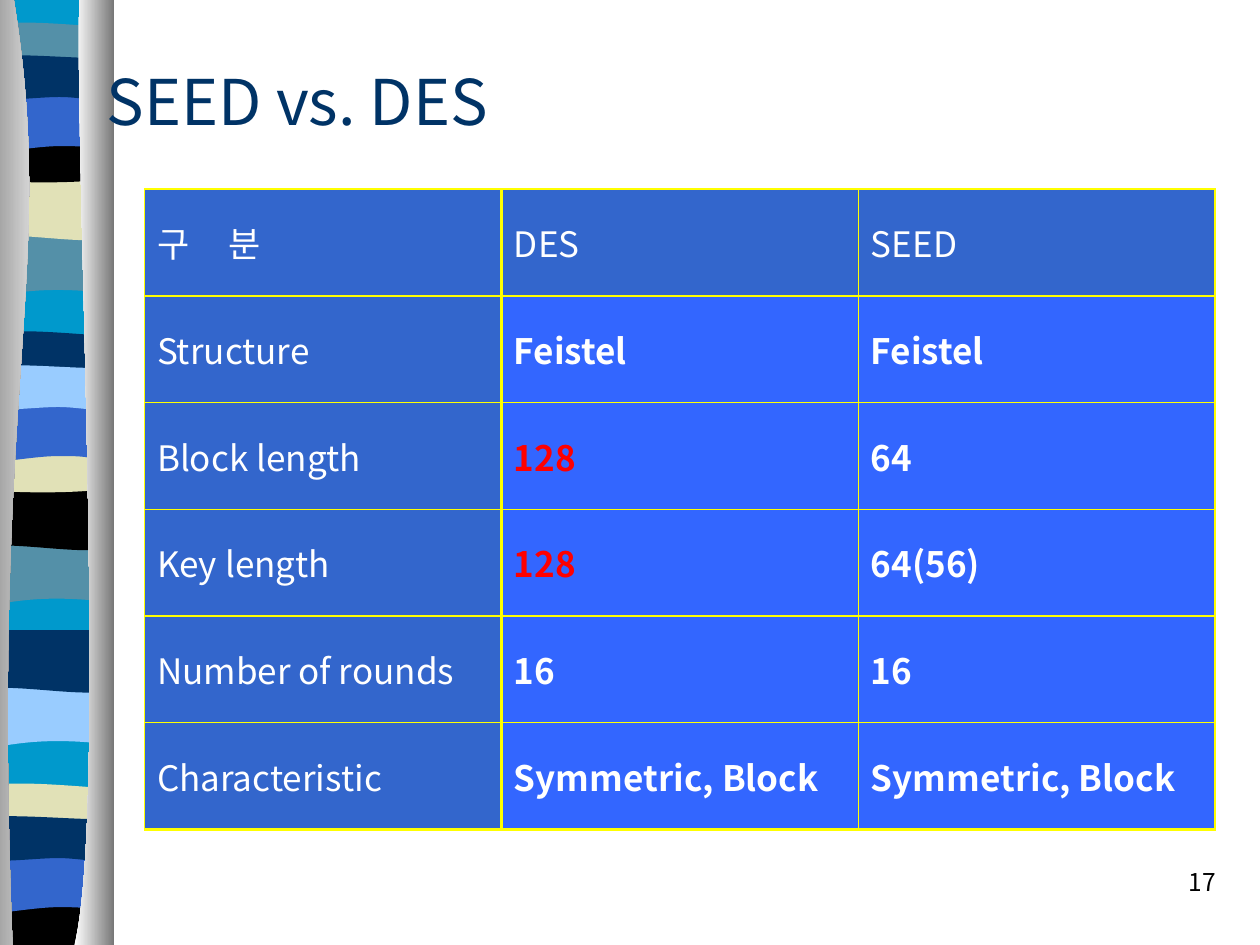
from dataclasses import dataclass
from lxml.etree import SubElement as Sub
from pptx import Presentation
from pptx.dml.color import RGBColor as Rgb
from pptx.enum.text import MSO_ANCHOR as Anchor, PP_ALIGN as Align
from pptx.oxml import parse_xml
from pptx.oxml.ns import nsdecls, qn
from pptx.util import Inches, Pt


@dataclass
class Theme:
    font: str = "Noto Sans CJK KR"
    head: int = 36
    body: int = 20
    foot: int = 14
    navy: str = "003366"
    blue: str = "3366CC"
    cell: str = "3366FF"
    sky: str = "99CCFF"
    teal: str = "5490A8"
    sea: str = "0099CC"
    sand: str = "E1E1B7"
    grey: str = "767676"
    white: str = "FFFFFF"
    black: str = "000000"
    red: str = "FF0000"
    line: str = "FFFF00"
    thin: float = 0.75
    thick: float = 1.47


look = Theme()
deck = Presentation()
deck.slide_width, deck.slide_height = Inches(10), Inches(7.5)
unit = deck.slide_width // 1000
slide = deck.slides.add_slide(deck.slide_layouts[6])


def trace(outline, tint, shift=0, drop=0):
    dots = [((x + shift) * unit, (y + drop) * unit)
            for step in outline for x, y in zip(step[::2], step[1::2])]
    pen = slide.shapes.build_freeform(*dots[0])
    pen.add_line_segments(dots[1:], close=True)
    form = pen.convert_to_shape()
    legs = iter(list(form._element.iter(qn("a:lnTo"))))
    for step in outline[1:]:
        leg = next(legs)
        if len(step) == 6:
            leg.addprevious(curve := parse_xml(f'<a:cubicBezTo {nsdecls("a")}/>'))
            for part in (leg, next(legs), next(legs)):
                curve.append(part[0])
                part.getparent().remove(part)
    form.shadow.inherit = False
    form.line.fill.background()
    if isinstance(tint, str):
        form.fill.solid()
        form.fill.fore_color.rgb = Rgb.from_string(tint)
    else:
        form.fill.gradient()
        form.fill.gradient_angle = 0
        for stop, tone in zip(form.fill.gradient_stops, tint):
            stop.color.rgb = Rgb.from_string(tone)


def style(para, size, tint, bold=False):
    for run in para.runs:
        run.font.name, run.font.size, run.font.bold = look.font, Pt(size), bold
        run.font.color.rgb = Rgb.from_string(tint)
        Sub(run.font._element, qn("a:ea")).set("typeface", look.font)


right, left = (89, 0), (-19, 0)
waves = {
    "slope": [right, (89, 47), (14, 38, -1, 54, -19, 47), left],
    "swell": [right, (89, 47), (71, 55, 14, 42, -19, 47), left],
    "crest": [right, (89, 24), (71, 29, -1, 29, -19, 24), left,
              (-13, -5, 4, -4, 22, -4), (40, -4, 75, -1, 89, 0)],
    "bowl": [right, (89, 33), (71, 38, -1, 38, -19, 33), left,
             (47, 5, 66, 0, 89, 0)],
    "arch": [right, (89, 47), (72, 41, 65, 41, 47, 41),
             (29, 41, -3, 47, -19, 47), left],
    "band": [right, (89, 31), (82, 36, 65, 31, 47, 31),
             (29, 31, -8, 36, -19, 31), left,
             (-4, -5, 54, 0, 72, 0), (90, 0, 85, 0, 89, 0)],
    "base": [right, (89, 38), (-19, 38), left, (47, 5, 66, 0, 89, 0)],
}
stripes = [
    ("slope", 186, look.teal), ("swell", 141, look.sand),
    ("crest", 22, look.teal), ("bowl", 108, look.black),
    ("arch", 75, look.blue), ("band", 46, look.navy),
    ("slope", 431, look.teal), ("swell", 387, look.black),
    ("crest", 267, look.navy), ("bowl", 354, look.sand),
    ("arch", 321, look.blue), ("band", 292, look.sky),
    ("slope", 544, look.sky), ("swell", 500, look.navy),
    ("crest", 626, look.sand), ("base", 712, look.black),
    ("arch", 679, look.blue), ("band", 650, look.navy),
]
trace([right, (89, 748), (-19, 748), left], look.sea)
for wave, top, tint in stripes:
    trace(waves[wave], tint, -1 if 267 <= top <= 431 or top > 600 else 0, top)
trace([(11, 0), (46, 217, -8, 296, 10, 750), (-24, 750), (-25, 0)],
      (look.grey, look.white))
trace([(63, 0), (59, 125, 86, 647, 59, 750), (91, 750), (91, 0)],
      (look.white, look.grey))

labels = [
    ("SEED vs. DES", (75, 17, 850, 125), look.head, look.navy, Align.LEFT, Anchor.MIDDLE),
    ("17", (767, 683, 208, 50), look.foot, look.black, Align.RIGHT, Anchor.TOP),
]
for words, place, size, tint, side, hold in labels:
    box = slide.shapes.add_textbox(*(v * unit for v in place)).text_frame
    box.word_wrap, box.vertical_anchor = True, hold
    box.text = words
    box.paragraphs[0].alignment = side
    style(box.paragraphs[0], size, tint)

rows = [
    ("구\t분", "DES", "SEED"),
    ("Structure", "Feistel", "Feistel"),
    ("Block length", "128", "64"),
    ("Key length", "128", "64(56)"),
    ("Number of rounds", "16", "16"),
    ("Characteristic", "Symmetric, Block", "Symmetric, Block"),
]
high, wide = len(rows), len(rows[0])
place = (114.6, 150, 850, 508.5)
grid = slide.shapes.add_table(high, wide, *(round(v * unit) for v in place)).table
for r, row in enumerate(rows):
    for c, words in enumerate(row):
        cell = grid.cell(r, c)
        cell.vertical_anchor = Anchor.MIDDLE
        label = r == 0 or c == 0
        cell.fill.solid()
        cell.fill.fore_color.rgb = Rgb.from_string(look.blue if label else look.cell)
        para = cell.text_frame.paragraphs[0]
        para.text = words
        if "\t" in words:
            tabs = Sub(para._p.get_or_add_pPr(), qn("a:tabLst"))
            Sub(tabs, qn("a:tab"), pos=str(57 * unit), algn="l")
        style(para, look.body, look.red if words == "128" else look.white, not label)
        heavy = {"L": c == 1, "R": c in (0, wide - 1),
                 "T": r == 1, "B": r in (0, high - 1)}
        for n, (side, bold) in enumerate(heavy.items()):
            width = Pt(look.thick if bold else look.thin)
            cell._tc.get_or_add_tcPr().insert(n, parse_xml(
                f'<a:ln{side} {nsdecls("a")} w="{width}"><a:solidFill>'
                f'<a:srgbClr val="{look.line}"/></a:solidFill></a:ln{side}>'))

deck.save("out.pptx")
